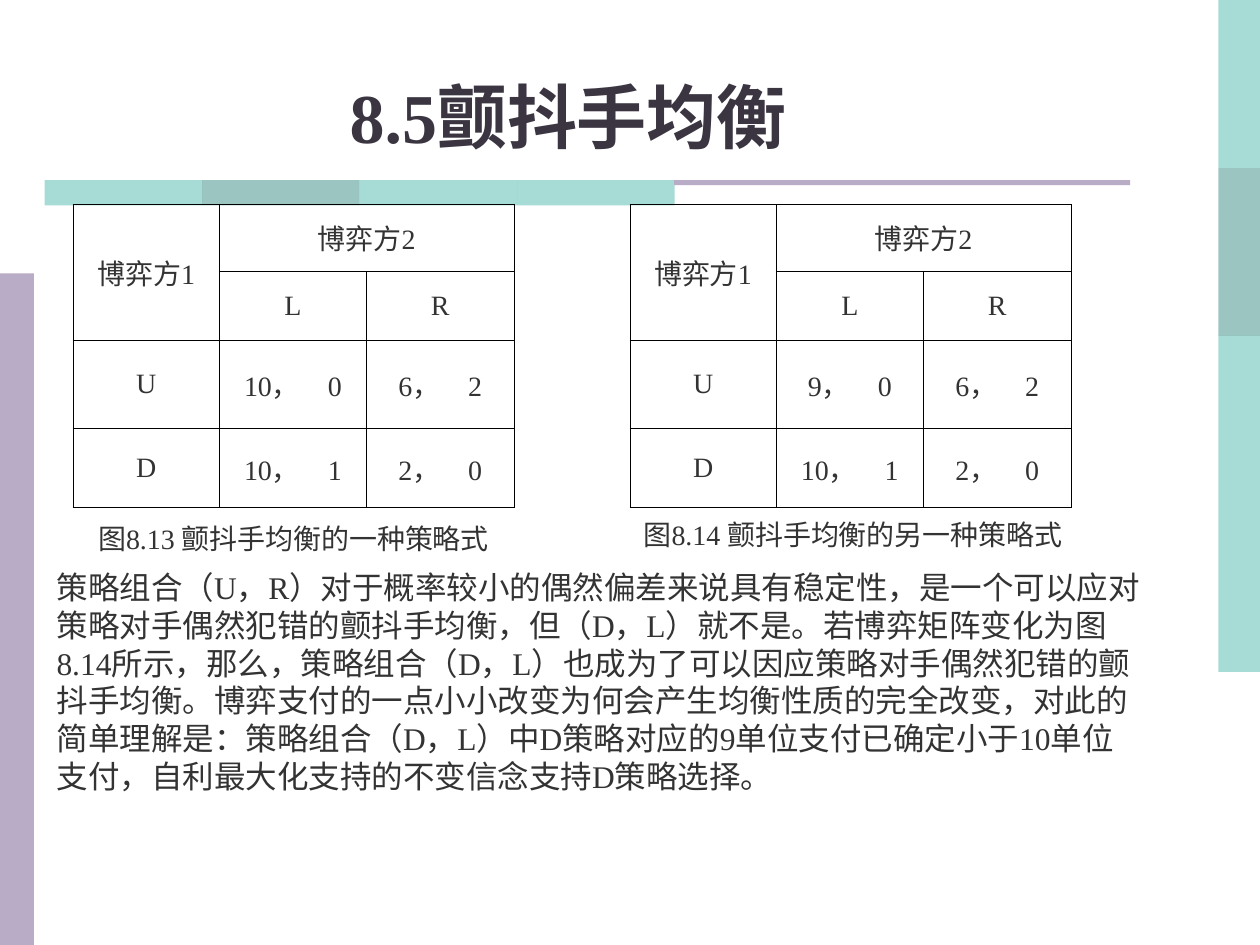
from lxml import etree
from pptx import Presentation
from pptx import util as u
from pptx.dml import color
from pptx.enum import shapes, text
from pptx.oxml import ns

FONT = "Times New Roman"
COLORS = {
    "teal": "51B9AF",
    "deep_teal": "398D85",
    "lilac": "B8ACC6",
    "title": "3A3541",
    "body": "333333",
    "border": "000000",
}
BANDS = ["teal", "deep_teal", "teal", "teal"]
COLUMN_WIDTHS = [1.16, 1.17, 1.17]
ROW_HEIGHTS = [0.53, 0.55, 0.7, 0.63]
BODY = (
    "策略组合（U，R）对于概率较小的偶然偏差来说具有稳定性，是一个可以应对策略对手偶然犯错的颤抖手均衡，"
    "但（D，L）就不是。若博弈矩阵变化为图8.14所示，那么，策略组合（D，L）也成为了可以因应策略对手偶然犯错的颤抖手均衡。"
    "博弈支付的一点小小改变为何会产生均衡性质的完全改变，对此的简单理解是：策略组合（D，L）中D策略对应的9单位支付"
    "已确定小于10单位支付，自利最大化支持的不变信念支持D策略选择。"
)


def rgb(name):
    return color.RGBColor.from_string(COLORS[name])


def write(frame, words, size, tone="body", bold=False, align=text.PP_ALIGN.LEFT):
    frame.text = words
    para = frame.paragraphs[0]
    para.alignment = align
    for span in para.runs:
        span.font.name = FONT
        span.font.size = u.Pt(size)
        span.font.bold = bold
        span.font.color.rgb = rgb(tone)


def add_bar(page, left, top, width, height, tone, opacity=100):
    bar = page.shapes.add_shape(
        shapes.MSO_SHAPE.RECTANGLE,
        u.Inches(left), u.Inches(top), u.Inches(width), u.Inches(height),
    )
    bar.shadow.inherit = False
    bar.fill.solid()
    bar.fill.fore_color.rgb = rgb(tone)
    bar.line.fill.background()
    if opacity < 100:
        shade = bar.fill._xPr.find(".//" + ns.qn("a:srgbClr"))
        etree.SubElement(shade, ns.qn("a:alpha"), val=str(opacity * 1000))


def add_decoration(page):
    for index, tone in enumerate(BANDS):
        add_bar(page, 9.67, index * 4 / 3, 0.33, 4 / 3, tone, 50)
        add_bar(page, 0.355 + index * 1.25, 1.43, 1.25, 0.2, tone, 50)
    add_bar(page, 0, 2.17, 0.27, 5.33, "lilac")
    add_bar(page, 5.35, 1.43, 3.62, 0.04, "lilac")


def add_title(page, words):
    title = page.shapes.title
    title.left, title.top = u.Inches(0), u.Inches(0.44)
    title.width, title.height = u.Inches(9.02), u.Inches(0.86)
    title.text_frame.vertical_anchor = text.MSO_ANCHOR.BOTTOM
    write(title.text_frame, words, 40, "title", True, text.PP_ALIGN.CENTER)


def add_text(page, left, top, width, height, words, size, wrap):
    box = page.shapes.add_textbox(
        u.Inches(left), u.Inches(top), u.Inches(width), u.Inches(height)
    )
    box.text_frame.word_wrap = wrap
    write(box.text_frame, words, size)


def style_cell(cell):
    properties = cell._tc.get_or_add_tcPr()
    for side in ("lnL", "lnR", "lnT", "lnB"):
        line = etree.SubElement(properties, ns.qn("a:" + side), w=str(u.Pt(0.45)))
        fill = etree.SubElement(line, ns.qn("a:solidFill"))
        etree.SubElement(fill, ns.qn("a:srgbClr"), val=COLORS["border"])
    cell.fill.background()
    cell.vertical_anchor = text.MSO_ANCHOR.MIDDLE


def add_game(page, left, up_row, down_row):
    rows = [
        ["博弈方1", "博弈方2", ""],
        ["", "L", "R"],
        ["U", *up_row],
        ["D", *down_row],
    ]
    table = page.shapes.add_table(
        len(rows), len(COLUMN_WIDTHS), u.Inches(left), u.Inches(1.62),
        u.Inches(sum(COLUMN_WIDTHS)), u.Inches(sum(ROW_HEIGHTS)),
    ).table
    table.first_row = table.horz_banding = False
    for column, width in zip(table.columns, COLUMN_WIDTHS):
        column.width = u.Inches(width)
    for row, height, labels in zip(table.rows, ROW_HEIGHTS, rows):
        row.height = u.Inches(height)
        for cell, label in zip(row.cells, labels):
            style_cell(cell)
            write(cell.text_frame, label, 16, align=text.PP_ALIGN.CENTER)
    table.cell(0, 0).merge(table.cell(1, 0))
    table.cell(0, 1).merge(table.cell(0, 2))


def main():
    deck = Presentation()
    deck.slide_width, deck.slide_height = u.Inches(10), u.Inches(7.5)
    page = deck.slides.add_slide(deck.slide_layouts[5])
    add_decoration(page)
    add_title(page, "8.5颤抖手均衡")
    add_game(page, 0.58, ["10，　0", "6，　2"], ["10，　1", "2，　0"])
    add_game(page, 5, ["9，　0", "6，　2"], ["10，　1", "2，　0"])
    add_text(page, 0.68, 4.09, 3.41, 0.37, "图8.13 颤抖手均衡的一种策略式", 16, False)
    add_text(page, 5.01, 4.06, 3.63, 0.37, "图8.14 颤抖手均衡的另一种策略式", 16, False)
    add_text(page, 0.35, 4.46, 8.82, 1.9, BODY, 18, True)
    deck.save("out.pptx")


if __name__ == "__main__":
    main()
